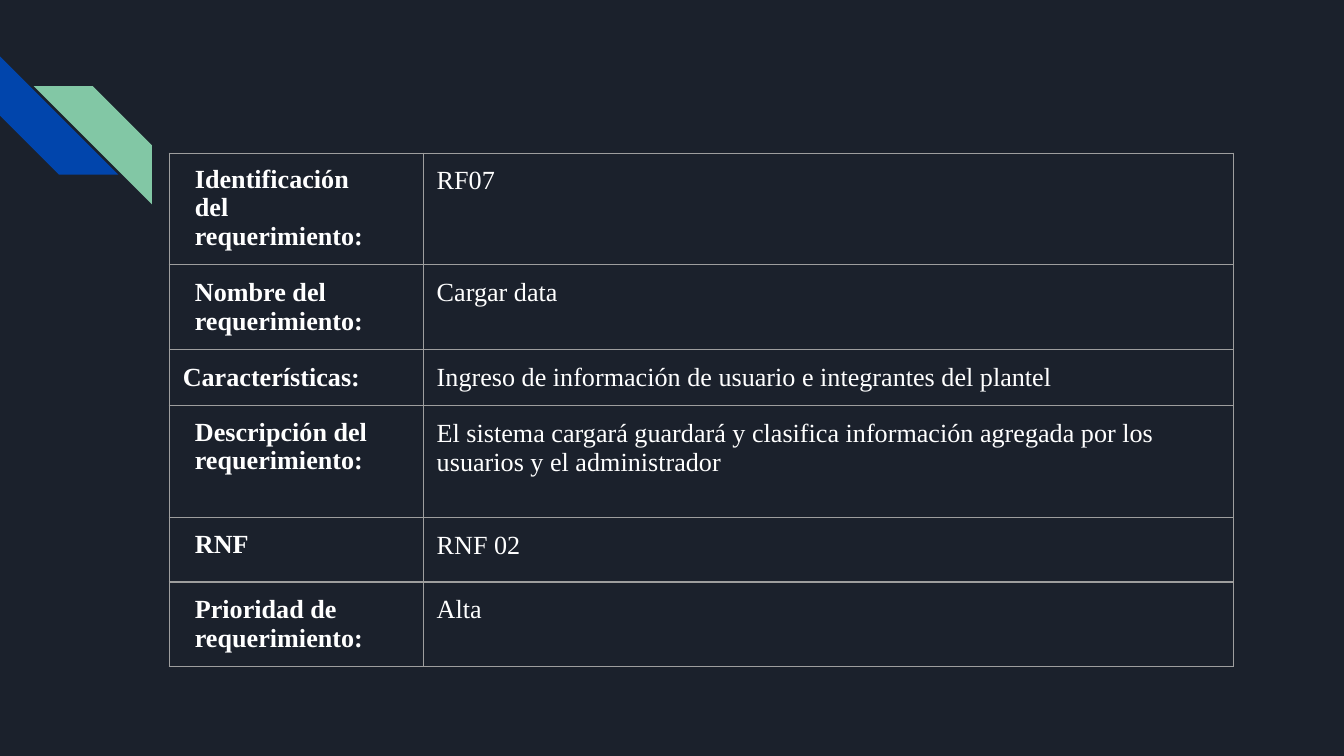
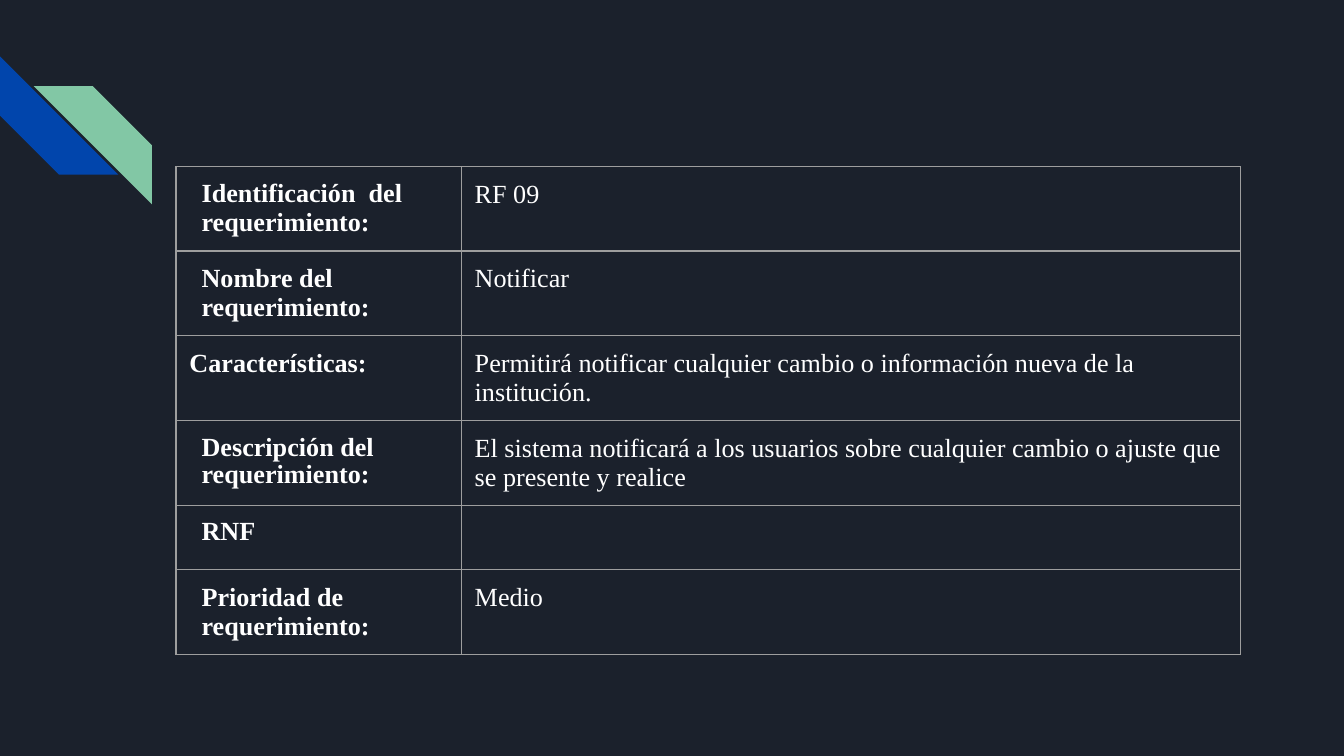
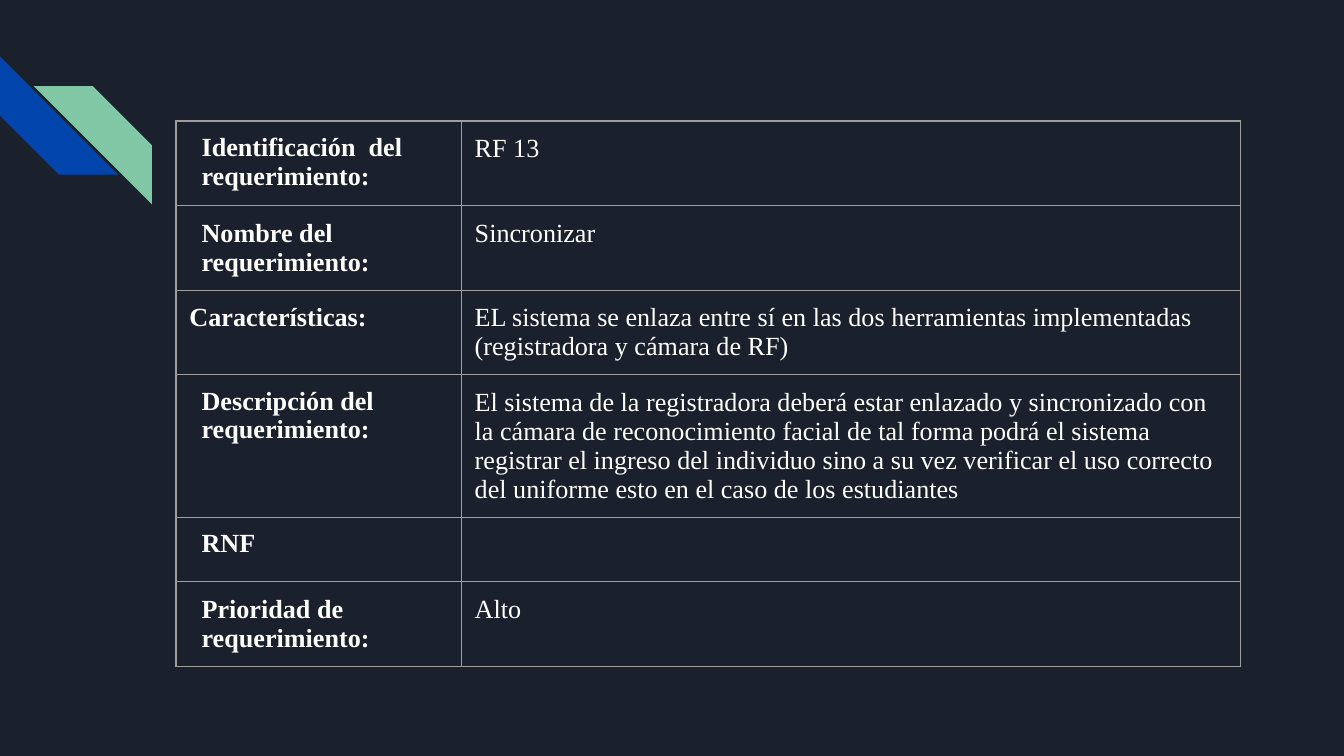
from lxml.etree import SubElement
from pptx import Presentation
from pptx.dml.color import RGBColor
from pptx.enum.shapes import MSO_SHAPE
from pptx.oxml.ns import qn
from pptx.util import Inches, Pt

WIDTH = 10
HEIGHT = WIDTH * 9 / 16
BACKGROUND, BLUE, GREEN, WHITE, GREY = "1B212C", "0145AC", "82C7A5", "FFFFFF", "9E9E9E"
FONT = "Times New Roman"
INSET, INDENT = 0.1, 0.09
TIGHT = 0.96

LABELS = [
    ["Identificación  del", "requerimiento:"],
    ["Nombre del", "requerimiento:"],
    ["Características:"],
    ["Descripción del  requerimiento:"],
    ["RNF"],
    ["Prioridad de", "requerimiento:"],
]
TIGHT_LABELS = {LABELS[0][0], LABELS[3][0], LABELS[4][0]}

REQUIREMENTS = [
    {
        "box": (1.26, 1.14, 7.92, 3.82),
        "columns": [1.89, 6.03],
        "rows": [0.83, 0.63, 0.42, 0.83, 0.48, 0.63],
        "values": [
            "RF07",
            "Cargar data",
            "Ingreso de información de usuario e integrantes del plantel",
            "El sistema cargará guardará y clasifica información agregada por los "
            "usuarios y el administrador",
            "RNF 02",
            "Alta",
        ],
    },
    {
        "box": (1.31, 1.24, 7.92, 3.62),
        "columns": [2.12, 5.79],
        "rows": [0.63, 0.63, 0.63, 0.63, 0.48, 0.63],
        "values": [
            "RF 09",
            "Notificar",
            "Permitirá notificar cualquier cambio o información nueva de la institución.",
            "El sistema notificará a los usuarios sobre cualquier cambio o ajuste que "
            "se presente y realice",
            "",
            "Medio",
        ],
    },
    {
        "box": (1.31, 0.9, 7.92, 4.05),
        "columns": [2.12, 5.79],
        "rows": [0.63, 0.63, 0.63, 1.06, 0.48, 0.63],
        "values": [
            "RF 13",
            "Sincronizar",
            "EL sistema se enlaza entre sí en las dos herramientas implementadas "
            "(registradora y cámara de RF)",
            "El sistema de la registradora deberá estar enlazado y sincronizado con la "
            "cámara de reconocimiento facial de tal forma podrá el sistema registrar el "
            "ingreso del individuo sino a su vez verificar el uso correcto del uniforme "
            "esto en el caso de los estudiantes",
            "",
            "Alto",
        ],
    },
]


def paint(fill, color):
    """Make a fill solid in a hex colour."""
    fill.solid()
    fill.fore_color.rgb = RGBColor.from_string(color)


def add_stripes(slide, box):
    """Draw the two interlocking corner stripes inside a box."""
    left, top, width, height = box
    side = height * 0.8
    group = slide.shapes.add_group_shape()
    corners = [(left, top, BLUE), (left + width - side, top + height - side, GREEN)]
    stripes = []
    for x, y, color in corners:
        sp = group.shapes.add_shape(
            MSO_SHAPE.DIAGONAL_STRIPE, Inches(x), Inches(y), Inches(side), Inches(side))
        sp.shadow.inherit = False
        sp.line.fill.background()
        paint(sp.fill, color)
        stripes.append(sp)
    stripes[0].rotation = 270
    stripes[1]._element.spPr.xfrm.set("flipH", "1")


def style_cell(cell):
    """Give a cell its insets, thin grey borders and no fill."""
    cell.margin_left = cell.margin_right = Inches(INSET)
    cell.margin_top = cell.margin_bottom = Inches(INSET)
    tc_pr = cell._tc.get_or_add_tcPr()
    for side in ("a:lnL", "a:lnR", "a:lnT", "a:lnB"):
        line = SubElement(tc_pr, qn(side), w=str(Pt(0.75)))
        SubElement(SubElement(line, qn("a:solidFill")), qn("a:srgbClr"), val=GREY)
    cell.fill.background()


def write_cell(cell, lines, bold):
    """Write lines of text as the paragraphs of a cell."""
    style_cell(cell)
    cell.text_frame.text = "\n".join(lines)
    for p in cell.text_frame.paragraphs:
        p.font.name, p.font.size, p.font.bold = FONT, Pt(14), bold
        p.font.color.rgb = RGBColor.from_string(WHITE)


def write_label(cell, lines):
    """Write a bold row label, indented except for the characteristics."""
    write_cell(cell, lines, True)
    if lines == LABELS[2]:
        return
    for p in cell.text_frame.paragraphs:
        p_pr = p._p.get_or_add_pPr()
        p_pr.set("marL", str(Inches(INDENT)))
        p_pr.set("marR", str(Inches(0.25 if lines == LABELS[0] else 0)))
        p_pr.set("indent", "0")
        if p.text in TIGHT_LABELS:
            p.line_spacing = TIGHT


def add_requirement_table(slide, box, columns, rows, values):
    """Fill a box with the two-column table of one requirement."""
    left, top, width, height = box
    frame = slide.shapes.add_table(
        len(rows), len(columns), Inches(left), Inches(top), Inches(width), Inches(height))
    table = frame.table
    table.first_row = table.horz_banding = False
    for column, share in zip(table.columns, columns):
        column.width = Inches(width * share / sum(columns))
    for i, (row, label, value) in enumerate(zip(rows, LABELS, values)):
        table.rows[i].height = Inches(height * row / sum(rows))
        write_label(table.cell(i, 0), label)
        write_cell(table.cell(i, 1), [value], False)


def add_requirement_slide(prs, requirement):
    """Add a dark slide with corner stripes and a requirement table."""
    slide = prs.slides.add_slide(prs.slide_layouts[6])
    paint(slide.background.fill, BACKGROUND)
    add_stripes(slide, (0, 0.42, 1.13, 1.1))
    add_requirement_table(slide, **requirement)


def main():
    """Build and save the presentation."""
    prs = Presentation()
    prs.slide_width, prs.slide_height = Inches(WIDTH), Inches(HEIGHT)
    for requirement in REQUIREMENTS:
        add_requirement_slide(prs, requirement)
    prs.save("out.pptx")


if __name__ == "__main__":
    main()
